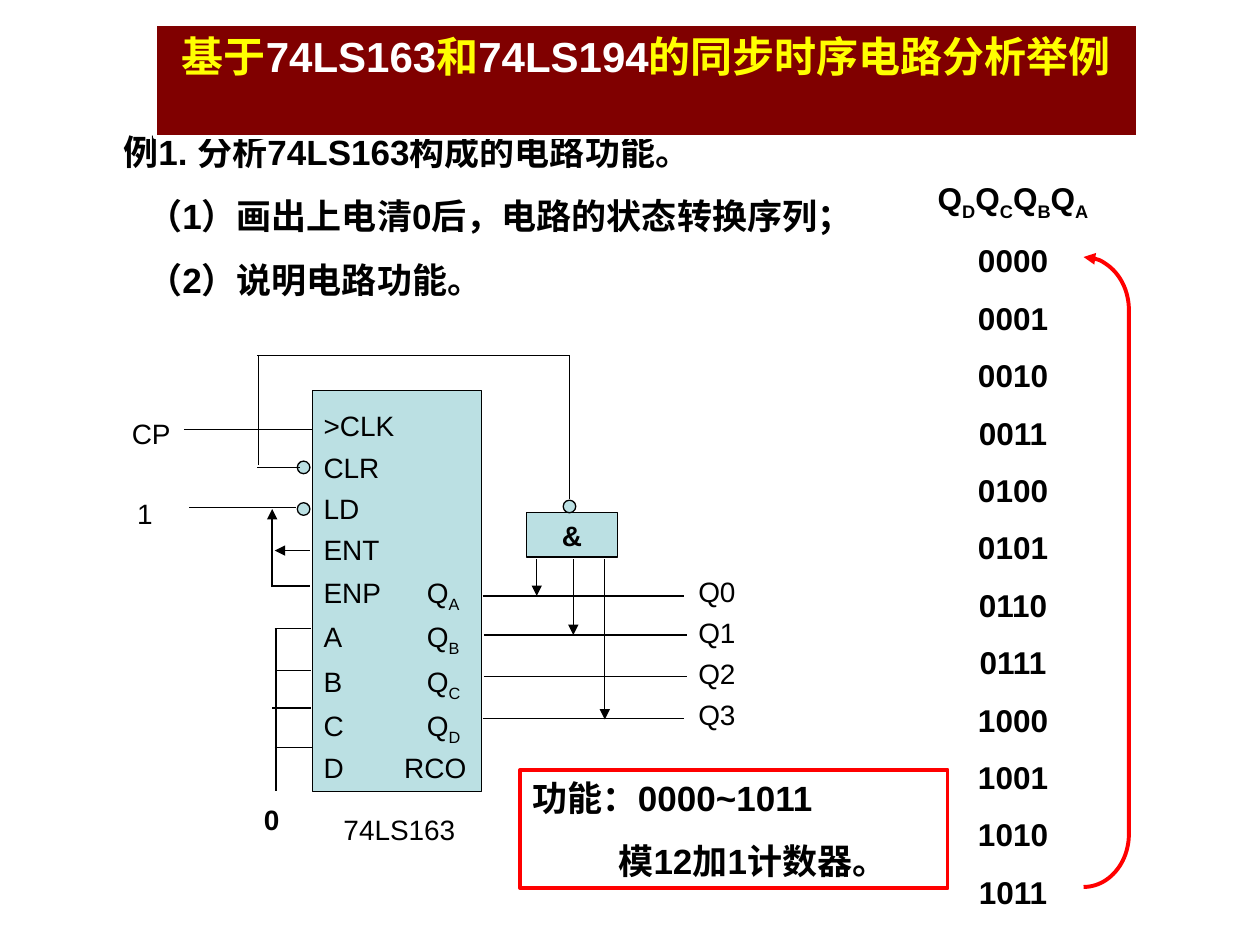
import pptx
import pptx.util
import pptx.dml.color
import pptx.enum.shapes
import pptx.enum.text
import pptx.oxml
import pptx.oxml.ns
from lxml import etree

Inches, Pt = pptx.util.Inches, pptx.util.Pt
RGB = pptx.dml.color.RGBColor.from_string
SHAPE = pptx.enum.shapes.MSO_SHAPE
ALIGN = pptx.enum.text.PP_ALIGN
ANCHOR = pptx.enum.text.MSO_ANCHOR
qn = pptx.oxml.ns.qn
COLORS = {"ink": "000000", "chip": "BBE0E3", "banner": "800000",
          "yellow": "FFFF00", "white": "FFFFFF", "red": "FF0000"}

deck = pptx.Presentation()
deck.slide_width, deck.slide_height = Inches(10), Inches(7.5)
slide = deck.slides.add_slide(deck.slide_layouts[6])


def write(holder, lines, size, bold=False, align=ALIGN.LEFT, before=0,
          spacing=None, color="ink", accent=None):
    """Fill holder with lines; pieces between bars are subscripts, or accent-coloured if accent is given."""
    frame = holder.text_frame
    frame.word_wrap = True
    frame.vertical_anchor = ANCHOR.TOP
    for row, line in enumerate(lines):
        paragraph = frame.add_paragraph() if row else frame.paragraphs[0]
        paragraph.alignment = align
        paragraph.space_before = Pt(before if row else 0)
        if spacing:
            paragraph.line_spacing = spacing
        for order, piece in enumerate(line.split("|")):
            if not piece:
                continue
            run = paragraph.add_run()
            run.text = piece
            run.font.name, run.font.size, run.font.bold = "Arial", Pt(size), bold
            special = order % 2 == 1
            run.font.color.rgb = RGB(COLORS[accent if special and accent else color])
            if special and not accent:
                run._r.get_or_add_rPr().set("baseline", "-25000")
    return frame


def add_block(kind, box, fill, line, width):
    block = slide.shapes.add_shape(kind, *map(Inches, box))
    block.shadow.inherit = False
    if fill:
        block.fill.solid()
        block.fill.fore_color.rgb = RGB(COLORS[fill])
    else:
        block.fill.background()
    block.line.color.rgb = RGB(COLORS[line])
    block.line.width = Pt(width)
    return block


# Exercise statement
task = slide.shapes.add_textbox(Inches(0.88), Inches(0.99), Inches(6.97), Inches(1.45))
questions = write(task, ["例1. 分析74LS163构成的电路功能。",
                         "（1）画出上电清0后，电路的状态转换序列；",
                         "（2）说明电路功能。"], 20, bold=True, before=12.5)
for question in questions.paragraphs[1:]:
    question._p.get_or_add_pPr().set("marL", str(Inches(0.19)))

# Counter chip, its pins and the NAND gate
add_block(SHAPE.RECTANGLE, (2.48, 3.1, 1.34, 3.18), "chip", "ink", 0.75)
pin_box = slide.shapes.add_textbox(Inches(2.47), Inches(3.27), Inches(1.37), Inches(3))
pins = write(pin_box, [">CLK", "CLR", "LD", "ENT", "ENP\tQ|A|", "A\tQ|B|",
                       "B\tQ|C|", "C\tQ|D|", "D\tRCO"], 16, before=10, spacing=0.7)
for pin in pins.paragraphs[4:]:
    tab_list = etree.SubElement(pin._p.get_or_add_pPr(), qn("a:tabLst"))
    stop = 0.64 if pin.text.endswith("RCO") else 0.82
    etree.SubElement(tab_list, qn("a:tab"), pos=str(Inches(stop)), algn="l")

gate = add_block(SHAPE.RECTANGLE, (4.18, 4.07, 0.72, 0.35), "chip", "ink", 0.75)
write(gate, ["&"], 16, bold=True, align=ALIGN.CENTER)
gate.text_frame.vertical_anchor = ANCHOR.MIDDLE
gate.text_frame.margin_top = gate.text_frame.margin_bottom = 0

for left, top in [(2.36, 3.66), (2.36, 3.99), (4.47, 3.97)]:
    add_block(SHAPE.OVAL, (left, top, 0.1, 0.1), "chip", "ink", 0.75)

# Wires: from x, from y, to x, to y
plain_wires = [
    (1.46, 3.41, 2.48, 3.41), (1.5, 4.03, 2.35, 4.03), (2.16, 4.65, 2.46, 4.65),  # CP, 1, ENP
    (4.52, 3.96, 4.52, 2.82), (4.52, 2.82, 2.04, 2.82),                           # clear feedback
    (2.05, 2.82, 2.05, 3.69), (2.04, 3.71, 2.38, 3.71),
    (2.18, 4.99, 2.47, 4.99), (2.19, 5.32, 2.47, 5.32), (2.16, 5.62, 2.47, 5.62),  # A to D
    (2.18, 5.93, 2.48, 5.93), (2.19, 4.99, 2.19, 6.28),
    (3.83, 4.73, 5.43, 4.73), (3.84, 5.04, 5.45, 5.04),                           # Q0 to Q3
    (3.84, 5.37, 5.45, 5.37), (3.83, 5.7, 5.43, 5.7),
]
arrow_wires = [
    (2.46, 4.37, 2.18, 4.37), (2.16, 4.66, 2.16, 4.04),
    (4.26, 4.44, 4.26, 4.73), (4.55, 4.44, 4.55, 5.04), (4.8, 4.44, 4.8, 5.71),
]
for ends in plain_wires + arrow_wires:
    wire = slide.shapes.add_connector(pptx.enum.shapes.MSO_CONNECTOR.STRAIGHT,
                                      *map(Inches, ends))
    wire.line.color.rgb = RGB(COLORS["ink"])
    wire.line.width = Pt(0.75)
    if ends in arrow_wires:
        etree.SubElement(wire.line._get_or_add_ln(), qn("a:tailEnd"), type="triangle")
    etree.SubElement(wire._element.spPr, qn("a:effectLst"))

# Signal names
for name, left, top, width, bold in [("74LS163", 2.5, 6.4, 1.34, False),
                                     ("1", 0.93, 3.89, 0.44, False),
                                     ("CP", 0.87, 3.26, 0.66, False),
                                     ("0", 1.87, 6.32, 0.57, True)]:
    signal = slide.shapes.add_textbox(Inches(left), Inches(top), Inches(width), Inches(0.37))
    write(signal, [name], 16, bold=bold, align=ALIGN.CENTER)
outputs = slide.shapes.add_textbox(Inches(5.4), Inches(4.58), Inches(0.58), Inches(1.27))
write(outputs, [f"Q{bit}" for bit in range(4)], 16, align=ALIGN.CENTER, before=10, spacing=0.7)

# Title banner
banner = add_block(SHAPE.RECTANGLE, (1.23, 0.19, 7.8, 0.9), "banner", "white", 2.25)
write(banner, ["基于|74LS163|和|74LS194|的同步时序电路分析举例"], 24, bold=True,
      align=ALIGN.CENTER, color="yellow", accent="white")

# State sequence with its return arrow
states = slide.shapes.add_textbox(Inches(6.94), Inches(1.37), Inches(2.2), Inches(5.92))
write(states, ["Q|D|Q|C|Q|B|Q|A|"] + [f"{state:04b}" for state in range(12)],
      18, bold=True, align=ALIGN.CENTER, before=11.2)
loop_back = add_block(SHAPE.RIGHT_BRACKET, (8.6, 2.04, 0.36, 5), None, "red", 2.25)
loop_back.adjustments[0] = 1.17
etree.SubElement(loop_back.line._get_or_add_ln(), qn("a:headEnd"), type="triangle")

# Conclusion
conclusion = add_block(SHAPE.RECTANGLE, (4.13, 6.11, 3.39, 0.94), None, "red", 2.25)
answer = write(conclusion, ["功能：0000~1011", "模12加1计数器。"], 20, bold=True, before=12.5)
answer.paragraphs[1]._p.get_or_add_pPr().set("marL", str(Inches(0.68)))

deck.save("out.pptx")
